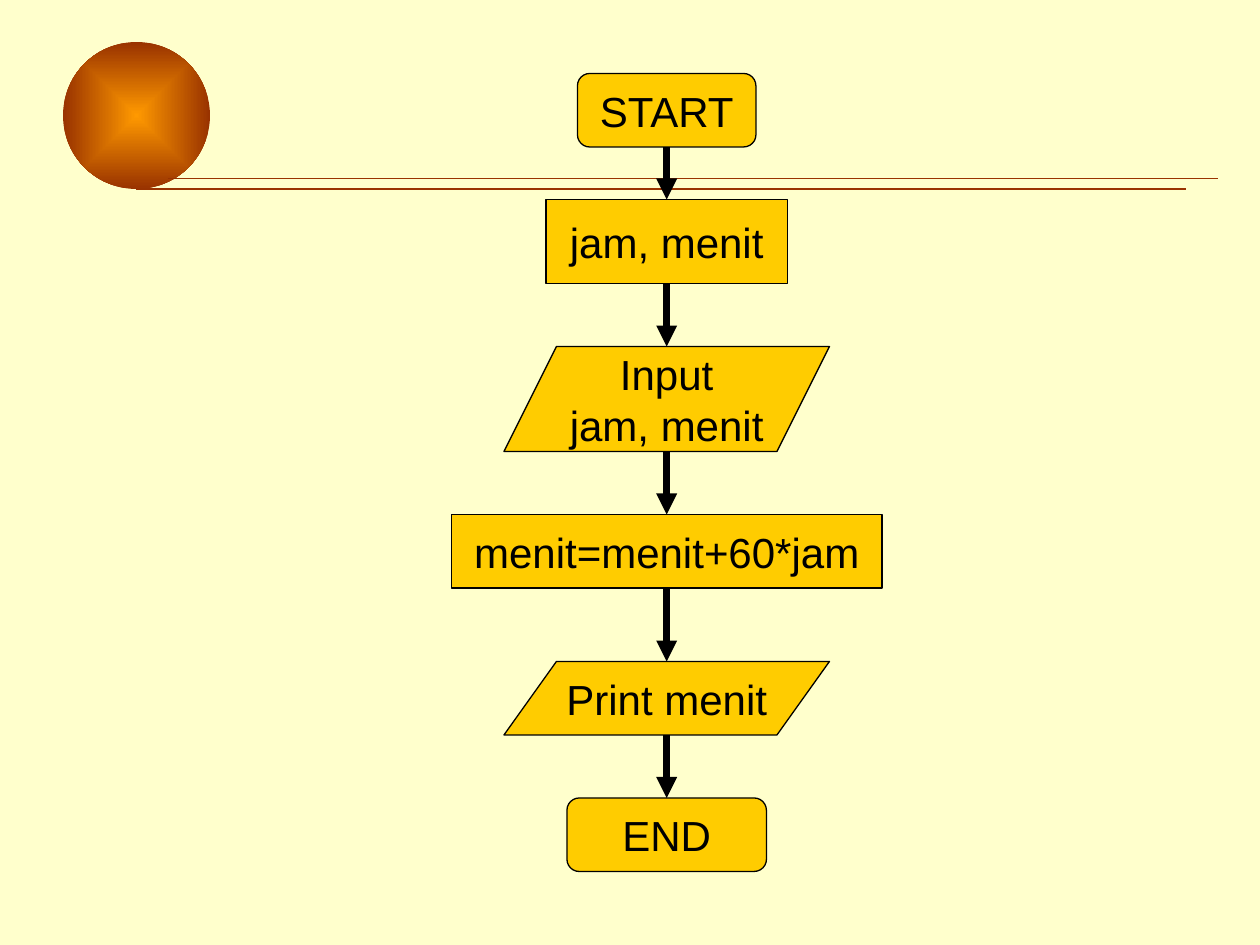
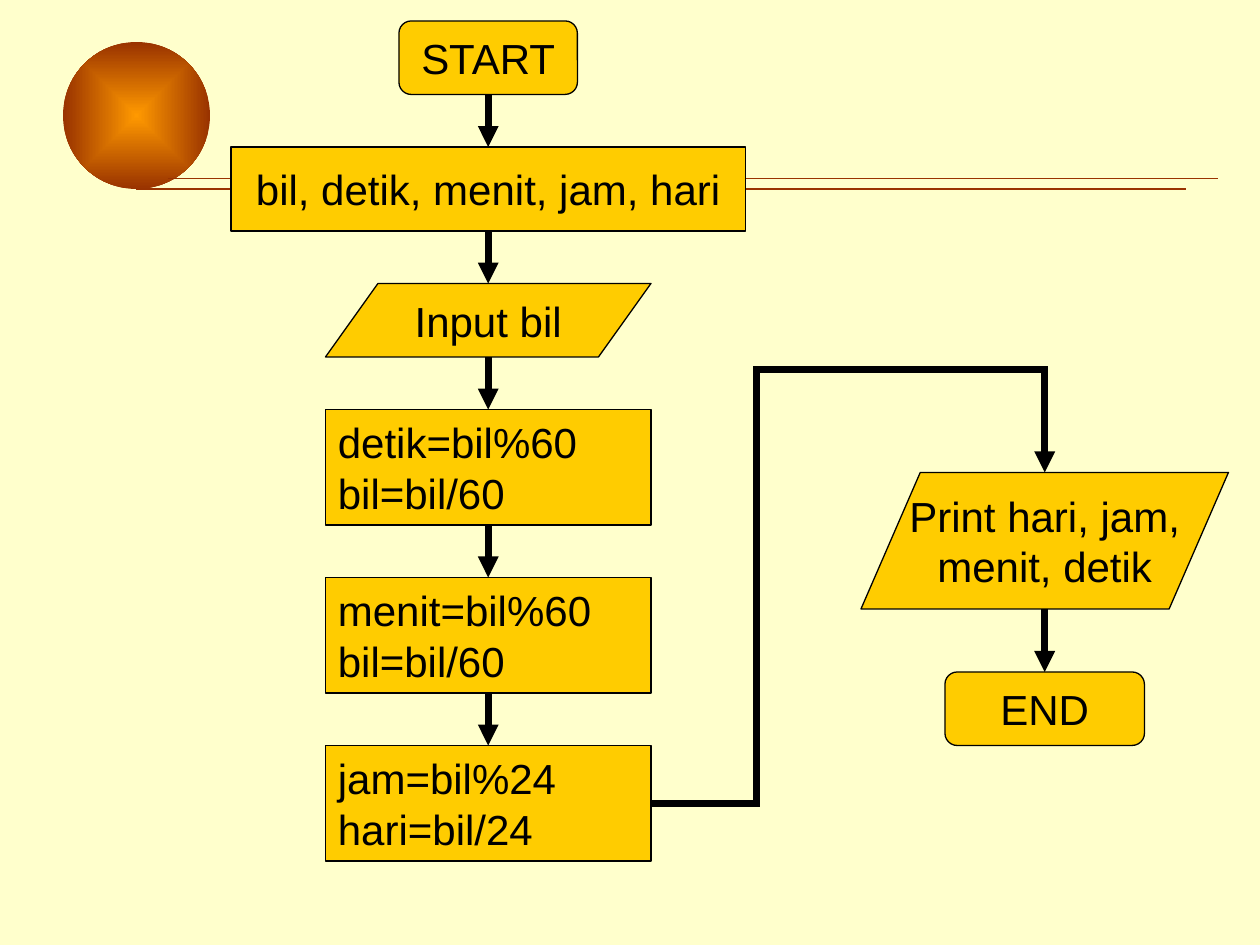
from dataclasses import dataclass

from lxml.etree import SubElement
from pptx import Presentation
from pptx.dml.color import RGBColor
from pptx.enum.shapes import MSO_CONNECTOR as Connector, MSO_SHAPE as Shape
from pptx.enum.text import MSO_ANCHOR as Anchor, PP_ALIGN as Align
from pptx.oxml.ns import qn
from pptx.shapes.connector import Connector as Line
from pptx.slide import Slide
from pptx.util import Pt

CREAM, YELLOW, BLACK = "FFFFCC", "FFCC00", "000000"
ORANGE, BROWN = "FF9900", "993300"
FONT, TEXT_SIZE = "Arial", 24
THIN, THICK = 0.75, 4
SLANT = 5 / 31  # parallelogram slant as a share of its width


@dataclass
class Step:
    kind: Shape
    lines: list[str]
    top: float
    width: float
    height: float = 42
    align: Align = Align.CENTER

    @property
    def bottom(self) -> float:
        return self.top + self.height


@dataclass
class Column:
    center: float
    steps: list[Step]


def start(top: float) -> Step:
    return Step(Shape.ROUNDED_RECTANGLE, ["START"], top, 102)


def end(top: float) -> Step:
    return Step(Shape.ROUNDED_RECTANGLE, ["END"], top, 114)


def declare(names: str, top: float, width: float) -> Step:
    return Step(Shape.RECTANGLE, [names], top, width, 48)


def transfer(lines: list[str], top: float, width: float = 186, height: float = 42) -> Step:
    """Input or output step, drawn as a parallelogram."""
    return Step(Shape.PARALLELOGRAM, lines, top, width, height)


def split_unit(lines: list[str], top: float) -> Step:
    """Left-aligned step that takes a remainder and a quotient."""
    return Step(Shape.RECTANGLE, lines, top, 186, 66, Align.LEFT)


def color(value: str) -> RGBColor:
    return RGBColor.from_string(value)


def draw_line(slide: Slide, kind: Connector, begin: tuple[float, float],
              finish: tuple[float, float], shade: str, weight: float) -> Line:
    line = slide.shapes.add_connector(kind, *map(Pt, begin + finish))
    line.line.color.rgb = color(shade)
    line.line.width = Pt(weight)
    SubElement(line._element.spPr, qn("a:effectLst"))
    return line


def draw_arrow(slide: Slide, begin: tuple[float, float], finish: tuple[float, float],
               kind: Connector = Connector.STRAIGHT) -> Line:
    arrow = draw_line(slide, kind, begin, finish, BLACK, THICK)
    outline = arrow.line._get_or_add_ln()
    SubElement(outline, qn("a:miter"), lim="800000")
    SubElement(outline, qn("a:tailEnd"), type="triangle")
    return arrow


def draw_detour(slide: Slide, begin: tuple[float, float], finish: tuple[float, float],
                turn_x: float, turn_y: float) -> None:
    """Arrow that leaves sideways, climbs at turn_x and crosses at turn_y."""
    arrow = draw_arrow(slide, begin, finish, Connector.ELBOW)
    geometry = arrow._element.spPr.find(qn("a:prstGeom"))
    geometry.set("prst", "bentConnector4")
    guides = geometry.find(qn("a:avLst"))
    shares = ((turn_x - begin[0]) / (finish[0] - begin[0]),
              (turn_y - begin[1]) / (finish[1] - begin[1]))
    for number, share in enumerate(shares, 1):
        SubElement(guides, qn("a:gd"), name=f"adj{number}", fmla=f"val {round(share * 100000)}")


def draw_step(slide: Slide, step: Step, center: float) -> None:
    box = slide.shapes.add_shape(step.kind, Pt(center - step.width / 2), Pt(step.top),
                                 Pt(step.width), Pt(step.height))
    box.shadow.inherit = False
    box.fill.solid()
    box.fill.fore_color.rgb = color(YELLOW)
    box.line.color.rgb = color(BLACK)
    box.line.width = Pt(THIN)
    if step.kind == Shape.PARALLELOGRAM:
        box.adjustments[0] = SLANT * step.width / step.height
    frame = box.text_frame
    frame.word_wrap = False
    frame.vertical_anchor = Anchor.MIDDLE
    for index, line in enumerate(step.lines):
        para = frame.add_paragraph() if index else frame.paragraphs[0]
        para.alignment = step.align
        span = para.add_run()
        span.text = line
        span.font.name = FONT
        span.font.size = Pt(TEXT_SIZE)
        span.font.color.rgb = color(BLACK)


def draw_column(slide: Slide, column: Column) -> None:
    for step in column.steps:
        draw_step(slide, step, column.center)
    for upper, lower in zip(column.steps, column.steps[1:]):
        draw_arrow(slide, (column.center, upper.bottom), (column.center, lower.top))


def draw_ball(slide: Slide) -> None:
    ball = slide.shapes.add_shape(Shape.OVAL, Pt(36), Pt(24), Pt(84), Pt(84))
    ball.shadow.inherit = False
    ball.line.fill.background()
    ball.fill.gradient()
    for stop, shade in zip(ball.fill.gradient_stops, (ORANGE, BROWN)):
        stop.color.rgb = color(shade)
    gradient = ball._element.spPr.find(qn("a:gradFill"))
    gradient.remove(gradient.find(qn("a:lin")))
    shading = SubElement(gradient, qn("a:path"), path="rect")
    SubElement(shading, qn("a:fillToRect"), l="50000", t="50000", r="50000", b="50000")


def add_page(deck: Presentation) -> Slide:
    page = deck.slides.add_slide(deck.slide_layouts[6])
    page.background.fill.solid()
    page.background.fill.fore_color.rgb = color(CREAM)
    draw_ball(page)
    for left, top in ((78, 108), (96, 102)):
        draw_line(page, Connector.STRAIGHT, (left, top), (left + 600, top), BROWN, THIN)
    return page


def add_minutes_page(deck: Presentation) -> None:
    draw_column(add_page(deck), Column(381, [
        start(42),
        declare("jam, menit", 114, 138),
        transfer(["Input", "jam, menit"], 198, height=60),
        Step(Shape.RECTANGLE, ["menit=menit+60*jam"], 294, 246),
        transfer(["Print menit"], 378),
        end(456),
    ]))


def add_days_page(deck: Presentation) -> None:
    page = add_page(deck)
    hours = split_unit(["jam=bil%24", "hari=bil/24"], 426)
    result = transfer(["Print hari, jam,", "menit, detik"], 270, 210, 78)
    calculation = Column(279, [
        start(12),
        declare("bil, detik, menit, jam, hari", 84, 294),
        transfer(["Input bil"], 162),
        split_unit(["detik=bil%60", "bil=bil/60"], 234),
        split_unit(["menit=bil%60", "bil=bil/60"], 330),
        hours,
    ])
    output = Column(597, [result, end(384)])
    for column in (calculation, output):
        draw_column(page, column)
    draw_detour(page, (calculation.center + hours.width / 2, hours.top + hours.height / 2),
                (output.center, result.top), turn_x=432, turn_y=211)


def main() -> None:
    deck = Presentation()
    deck.slide_width, deck.slide_height = Pt(720), Pt(540)
    add_minutes_page(deck)
    add_days_page(deck)
    deck.save("out.pptx")


if __name__ == "__main__":
    main()
